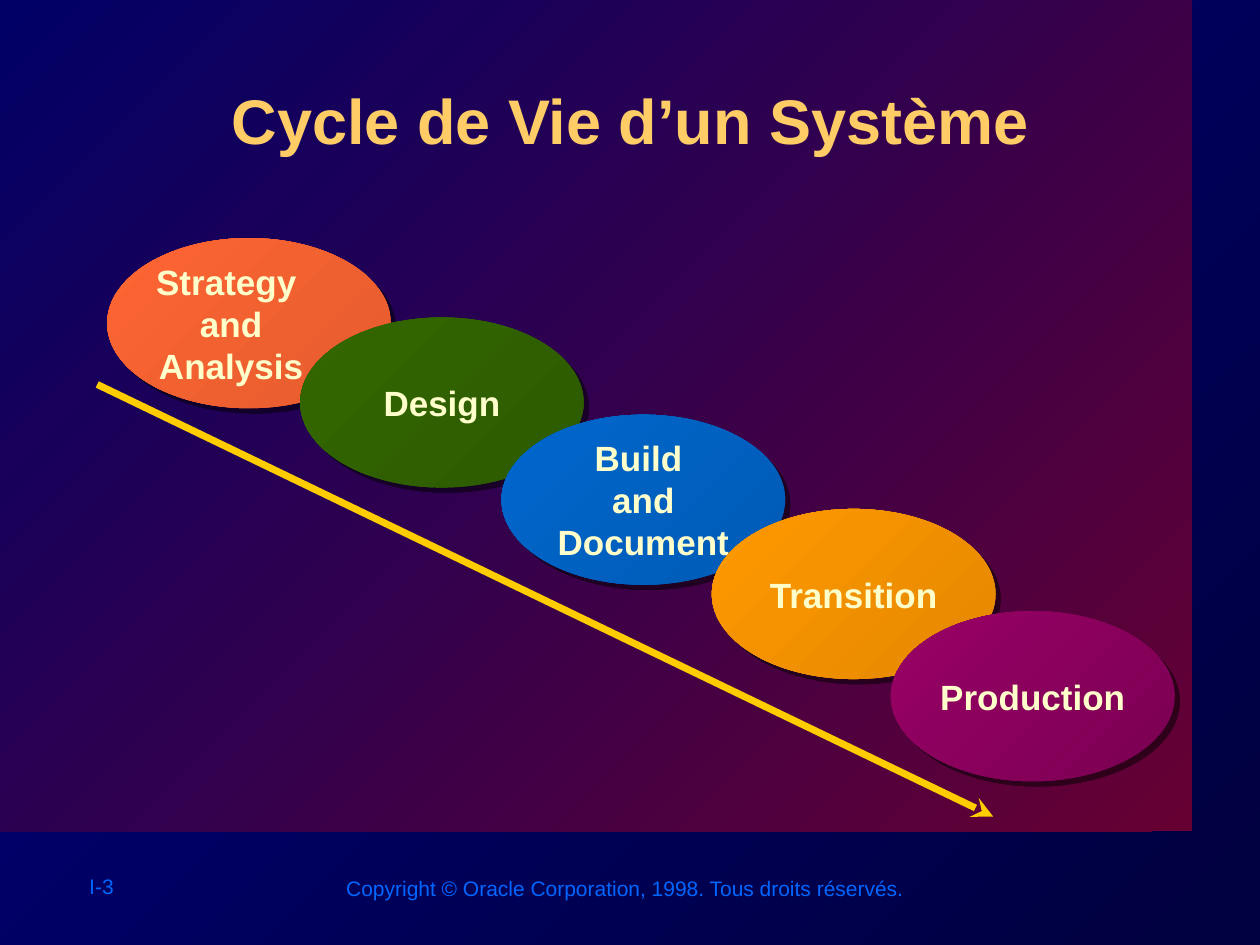
from lxml.etree import SubElement
from pptx import Presentation
from pptx.dml.color import RGBColor
from pptx.enum.shapes import MSO_CONNECTOR, MSO_SHAPE
from pptx.enum.text import MSO_ANCHOR, PP_ALIGN
from pptx.oxml import parse_xml
from pptx.oxml.ns import nsdecls, qn
from pptx.util import Cm, Pt

NAVY_DARK = RGBColor(0x00, 0x00, 0x3F)
NAVY = RGBColor(0x00, 0x00, 0x80)
PANEL_RED = RGBColor(0x66, 0x00, 0x33)
PANEL_BLUE = RGBColor(0x00, 0x00, 0x66)
FOOTER_BLUE = RGBColor(0x00, 0x66, 0xFF)
TITLE_GOLD = RGBColor(0xFF, 0xCC, 0x66)
CREAM = RGBColor(0xFF, 0xFF, 0xCC)
ARROW_YELLOW = RGBColor(0xFF, 0xCC, 0x00)
ORANGE_DARK, ORANGE = RGBColor(0xE4, 0x5B, 0x2D), RGBColor(0xFF, 0x66, 0x33)
GREEN_DARK, GREEN = RGBColor(0x2D, 0x5B, 0x00), RGBColor(0x33, 0x66, 0x00)
BLUE_DARK, BLUE = RGBColor(0x00, 0x5B, 0xB6), RGBColor(0x00, 0x66, 0xCC)
AMBER_DARK, AMBER = RGBColor(0xE4, 0x88, 0x00), RGBColor(0xFF, 0x99, 0x00)
PURPLE_DARK, PURPLE = RGBColor(0x79, 0x00, 0x51), RGBColor(0x99, 0x00, 0x66)

OVAL_W, OVAL_H = 5.72, 3.43

# lines, oval left and top, label width and height, label shift, colours
STAGES = [
    (["Strategy ", "and", "Analysis"], 2.16, 4.8, 6.43, 3.68, -0.36, ORANGE_DARK, ORANGE),
    (["Design"], 6.05, 6.4, 3.56, 1.09, 0, GREEN_DARK, GREEN),
    (["Build ", "and", "Document"], 10.11, 8.36, 5.05, 2.79, 0, BLUE_DARK, BLUE),
    (["Transition"], 14.35, 10.26, 4.09, 1.09, 0, AMBER_DARK, AMBER),
    (["Production"], 17.96, 12.32, 4.72, 1.09, 0, PURPLE_DARK, PURPLE),
]


def shade(fill, start, end):
    """Diagonal gradient running from the bottom right to the top left."""
    fill.gradient()
    fill.gradient_angle = 135
    for stop, color in zip(fill.gradient_stops, (start, end)):
        stop.color.rgb = color


def shadow_effect(alpha):
    return parse_xml(
        f'<a:effectLst {nsdecls("a")}><a:outerShdw dist="53340" dir="2700000" '
        f'algn="ctr" rotWithShape="0"><a:srgbClr val="000000">'
        f'<a:alpha val="{alpha * 1000}"/></a:srgbClr></a:outerShdw></a:effectLst>')


def write(tf, lines, *, size, color, bold=False, align=PP_ALIGN.LEFT,
          anchor=MSO_ANCHOR.TOP, wrap=False):
    tf.word_wrap = wrap
    tf.vertical_anchor = anchor
    for i, line in enumerate(lines):
        p = tf.paragraphs[0] if i == 0 else tf.add_paragraph()
        p.alignment = align
        r = p.add_run()
        r.text = line
        r.font.name = "Arial"
        r.font.size = Pt(size)
        r.font.bold = bold
        r.font.color.rgb = color


def add_shape(shapes, kind, left, top, width, height, start, end):
    sp = shapes.add_shape(kind, Cm(left), Cm(top), Cm(width), Cm(height))
    sp.shadow.inherit = False
    sp.line.fill.background()
    shade(sp.fill, start, end)
    return sp


def add_text(shapes, left, top, width, height, lines, **style):
    box = shapes.add_textbox(Cm(left), Cm(top), Cm(width), Cm(height))
    write(box.text_frame, lines, **style)


def add_title(slide, text):
    title = slide.shapes.title
    title.left, title.top, title.width, title.height = Cm(2.57), Cm(1.42), Cm(20.27), Cm(2.44)
    tf = title.text_frame
    write(tf, [text], size=36, color=TITLE_GOLD, bold=True,
          align=PP_ALIGN.CENTER, wrap=True)
    tf.margin_top = Cm(0.23)
    rPr = tf.paragraphs[0].runs[0].font._element
    rPr.find(qn("a:solidFill")).addnext(shadow_effect(100))


def add_stage(slide, lines, left, top, label_w, label_h, shift, dark, light):
    shapes = slide.shapes.add_group_shape().shapes
    oval = add_shape(shapes, MSO_SHAPE.OVAL, left, top, OVAL_W, OVAL_H, dark, light)
    spPr = oval._element.spPr
    spPr.replace(spPr.find(qn("a:effectLst")), shadow_effect(50))
    add_text(shapes, left + (OVAL_W - label_w) / 2 + shift,
             top + (OVAL_H - label_h) / 2, label_w, label_h, lines,
             size=20, color=CREAM, bold=True, align=PP_ALIGN.CENTER,
             anchor=MSO_ANCHOR.MIDDLE)


def add_arrow(slide, x1, y1, x2, y2):
    arrow = slide.shapes.add_connector(
        MSO_CONNECTOR.STRAIGHT, Cm(x1), Cm(y1), Cm(x2), Cm(y2))
    arrow.line.color.rgb = ARROW_YELLOW
    arrow.line.width = Pt(4)
    SubElement(arrow.line._get_or_add_ln(), qn("a:tailEnd"), type="stealth")
    SubElement(arrow._element.spPr, qn("a:effectLst"))


def main():
    prs = Presentation()
    prs.slide_width, prs.slide_height = Cm(25.4), Cm(19.05)
    slide = prs.slides.add_slide(prs.slide_layouts[5])
    shade(slide.background.fill, NAVY_DARK, NAVY)

    panel = add_shape(slide.shapes, MSO_SHAPE.RECTANGLE, 0, 0, 24.03, 16.76,
                      PANEL_RED, PANEL_BLUE)
    slide.shapes.title._element.addprevious(panel._element)
    add_title(slide, "Cycle de Vie d’un Système")

    add_text(slide.shapes, 1.55, 17.48, 2.69, 0.76, ["I-3"], size=12, color=FOOTER_BLUE)
    add_text(slide.shapes, 6.73, 17.53, 11.84, 0.76,
             ["Copyright © Oracle Corporation, 1998. Tous droits réservés."],
             size=12, color=FOOTER_BLUE)

    for stage in STAGES:
        add_stage(slide, *stage)
    add_arrow(slide, 1.96, 7.75, 20.02, 16.46)
    prs.save("out.pptx")


if __name__ == "__main__":
    main()
